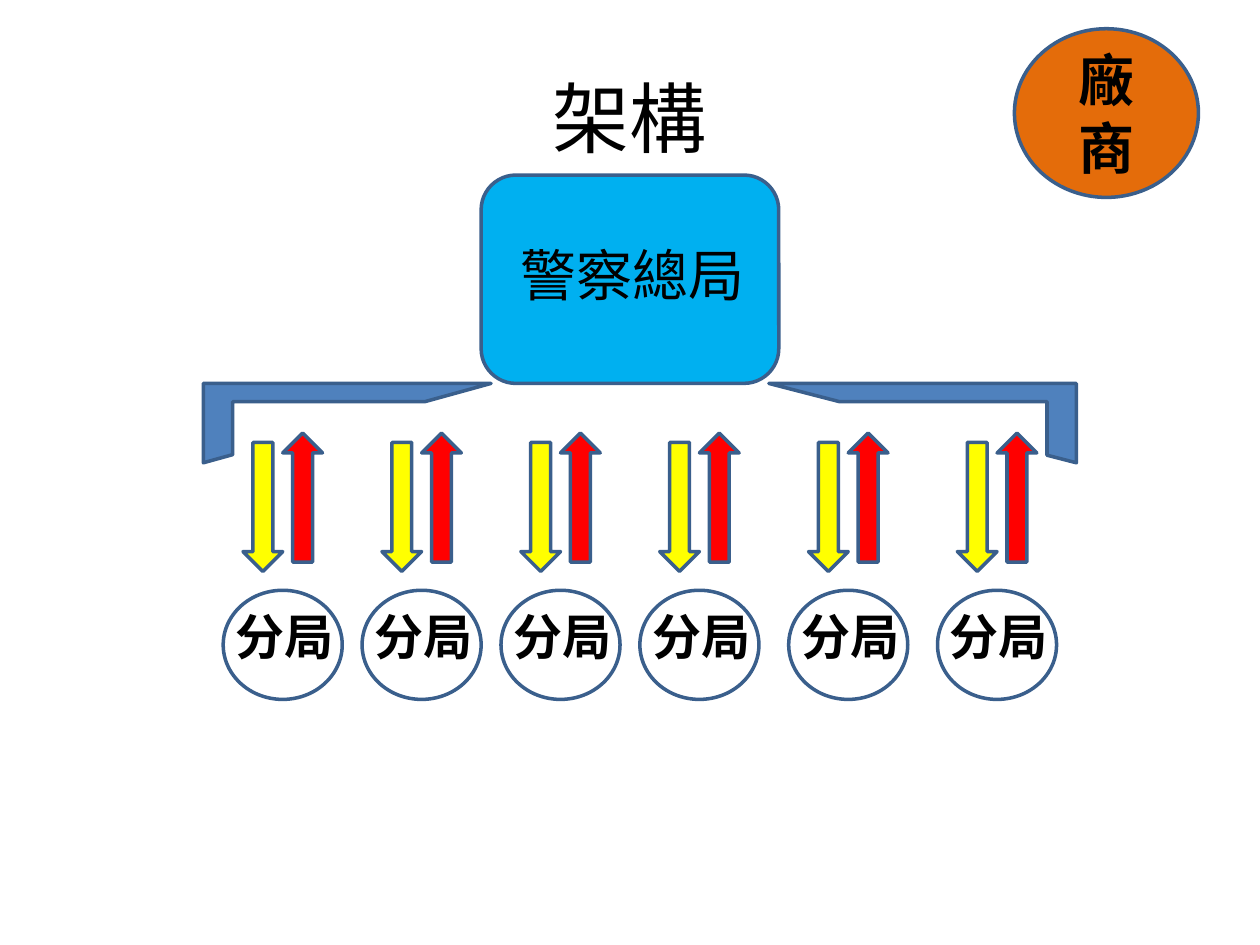
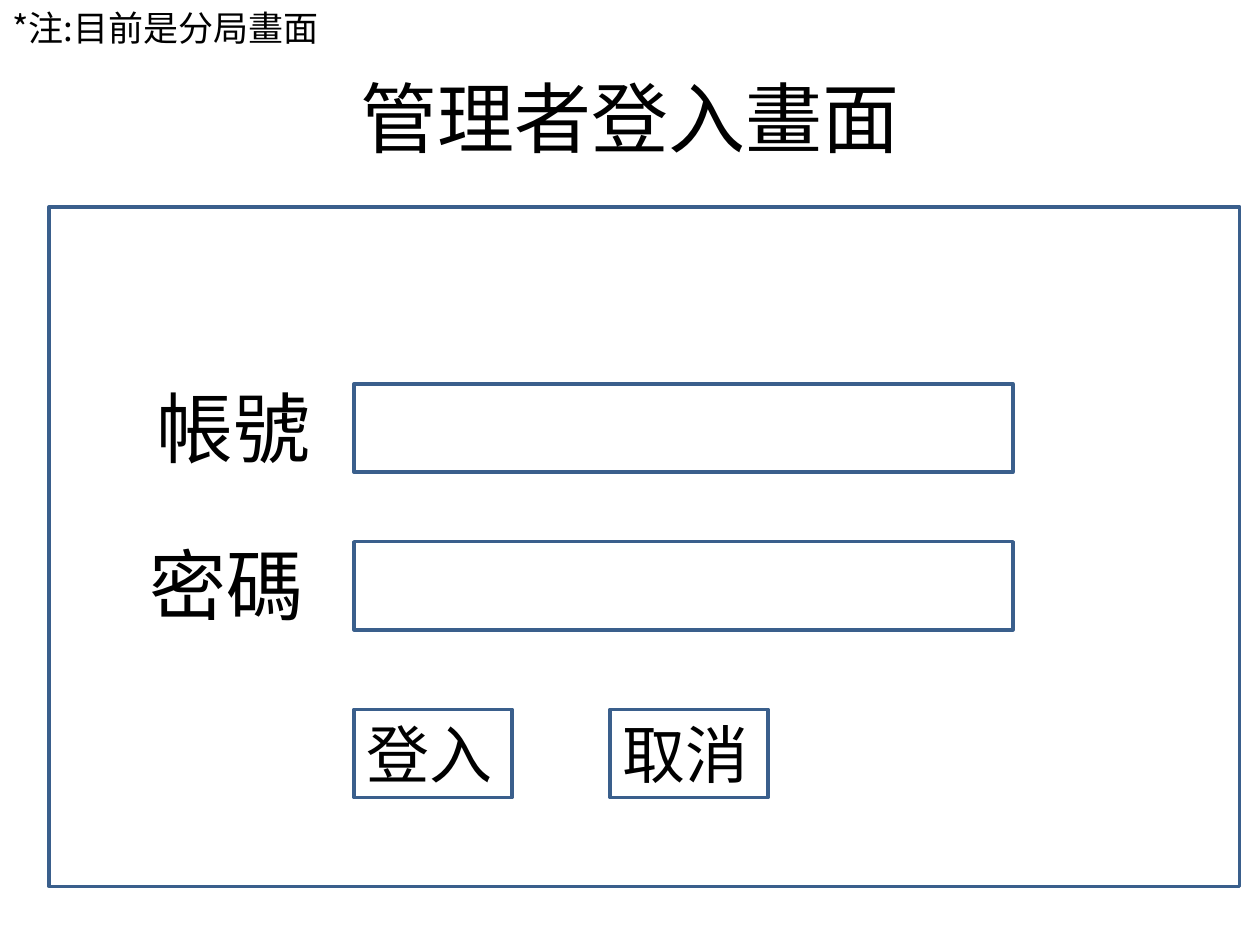
"""Build two slides: a police bureau structure diagram and an administrator login screen."""
from pptx import Presentation
from pptx.dml.color import RGBColor
from pptx.enum.shapes import MSO_SHAPE
from pptx.enum.text import MSO_ANCHOR, PP_ALIGN
from pptx.util import Cm, Pt

RECT, ROUNDED, OVAL = MSO_SHAPE.RECTANGLE, MSO_SHAPE.ROUNDED_RECTANGLE, MSO_SHAPE.OVAL
DOWN_ARROW, HALF_FRAME = MSO_SHAPE.DOWN_ARROW, MSO_SHAPE.HALF_FRAME
CENTER, MIDDLE = PP_ALIGN.CENTER, MSO_ANCHOR.MIDDLE

BLACK = RGBColor(0x00, 0x00, 0x00)
WHITE = RGBColor(0xFF, 0xFF, 0xFF)
OUTLINE = RGBColor(0x3A, 0x5F, 0x8C)
ORANGE = RGBColor(0xE4, 0x6C, 0x0A)
SKY = RGBColor(0x00, 0xB0, 0xF0)
BLUE = RGBColor(0x4F, 0x81, 0xBD)
YELLOW = RGBColor(0xFF, 0xFF, 0x00)
RED = RGBColor(0xFF, 0x00, 0x00)
LATIN, CJK = "Calibri", "Noto Sans CJK SC"

STRUCTURE_TITLE, LOGIN_TITLE = "架構", "管理者登入畫面"
VENDOR, HEADQUARTERS, BRANCH = "廠商", "警察總局", "分局"
BRANCH_LEFTS = [4.5, 7.3, 10.1, 12.9, 15.9, 18.9]
BRACKETS = [(4.1, 5.8, False), (15.5, 6.2, True)]

NOTE = "*注:目前是分局畫面"
FIELDS = [("帳號", 2.9, 7.74), ("密碼", 2.77, 10.92)]
BUTTONS = [("登入", 7.14), ("取消", 12.3)]
FIELD_LEFT, FIELD_WIDTH, BOX_HEIGHT = 7.14, 13.28, 1.78
BUTTON_TOP, BUTTON_WIDTH = 14.3, 3.18


def write(sp, text, size, font=LATIN, bold=False, align=None):
    sp.text_frame.text = text
    p = sp.text_frame.paragraphs[0]
    if align is not None:
        p.alignment = align
    r = p.runs[0]
    r.font.size, r.font.name, r.font.bold = Pt(size), font, bold
    r.font.color.rgb = BLACK


def add_text(slide, box, text, size, font=LATIN, bold=False, wrap=False, align=None):
    sp = slide.shapes.add_textbox(*map(Cm, box))
    sp.text_frame.word_wrap = wrap
    write(sp, text, size, font, bold, align)
    return sp


def add_box(slide, kind, box, fill=None):
    sp = slide.shapes.add_shape(kind, *map(Cm, box))
    sp.shadow.inherit = False
    if fill is None:
        sp.fill.background()
    else:
        sp.fill.solid()
        sp.fill.fore_color.rgb = fill
    sp.line.color.rgb, sp.line.width = OUTLINE, Pt(2)
    return sp


def add_slide(prs, title):
    slide = prs.slides.add_slide(prs.slide_layouts[6])
    sp = add_text(slide, (1.27, 0.76, 22.86, 3.18), title, 44, wrap=True, align=CENTER)
    sp.text_frame.vertical_anchor = MIDDLE
    return slide


def add_branch(slide, left):
    add_box(slide, DOWN_ARROW, (left + 0.4, 8.92, 0.8, 2.6), YELLOW)
    up = add_box(slide, DOWN_ARROW, (left + 1.2, 8.73, 0.8, 2.6), RED)
    up.rotation = 180
    add_box(slide, OVAL, (left, 11.9, 2.4, 2.2), WHITE)
    add_text(slide, (left, 12.11, 2.51, 1.45), BRANCH, 28, CJK, bold=True)


def build_structure(prs):
    slide = add_slide(prs, STRUCTURE_TITLE)
    badge = add_box(slide, OVAL, (20.45, 0.58, 3.71, 3.4), ORANGE)
    badge.text_frame.vertical_anchor = MIDDLE
    write(badge, VENDOR, 32, bold=True, align=CENTER)
    add_box(slide, ROUNDED, (9.7, 3.53, 6, 4.2), SKY)
    add_text(slide, (10.24, 4.72, 5.08, 1.62), HEADQUARTERS, 32, CJK)
    for left in BRANCH_LEFTS:
        add_branch(slide, left)
    for left, width, mirrored in BRACKETS:
        bracket = add_box(slide, HALF_FRAME, (left, 7.73, width, 1.6), BLUE)
        bracket.adjustments[0], bracket.adjustments[1] = 0.23, 0.37
        if mirrored:
            bracket._element.spPr.xfrm.set("flipH", "1")


def build_login(prs):
    slide = add_slide(prs, LOGIN_TITLE)
    for label, left, top in FIELDS:
        add_box(slide, RECT, (FIELD_LEFT, top, FIELD_WIDTH, BOX_HEIGHT))
        add_text(slide, (left, top - 0.2, 3.66, 2.13), label, 44)
    for label, left in BUTTONS:
        add_box(slide, RECT, (left, BUTTON_TOP, BUTTON_WIDTH, BOX_HEIGHT))
        add_text(slide, (left, BUTTON_TOP, 3.07, 1.8), label, 36)
    add_box(slide, RECT, (0.99, 4.17, 24, 13.7))
    add_text(slide, (0, 0, 6.93, 1.12), NOTE, 20, CJK, wrap=True)


prs = Presentation()
prs.slide_width, prs.slide_height = Cm(25.4), Cm(19.05)
build_structure(prs)
build_login(prs)
prs.save("out.pptx")
